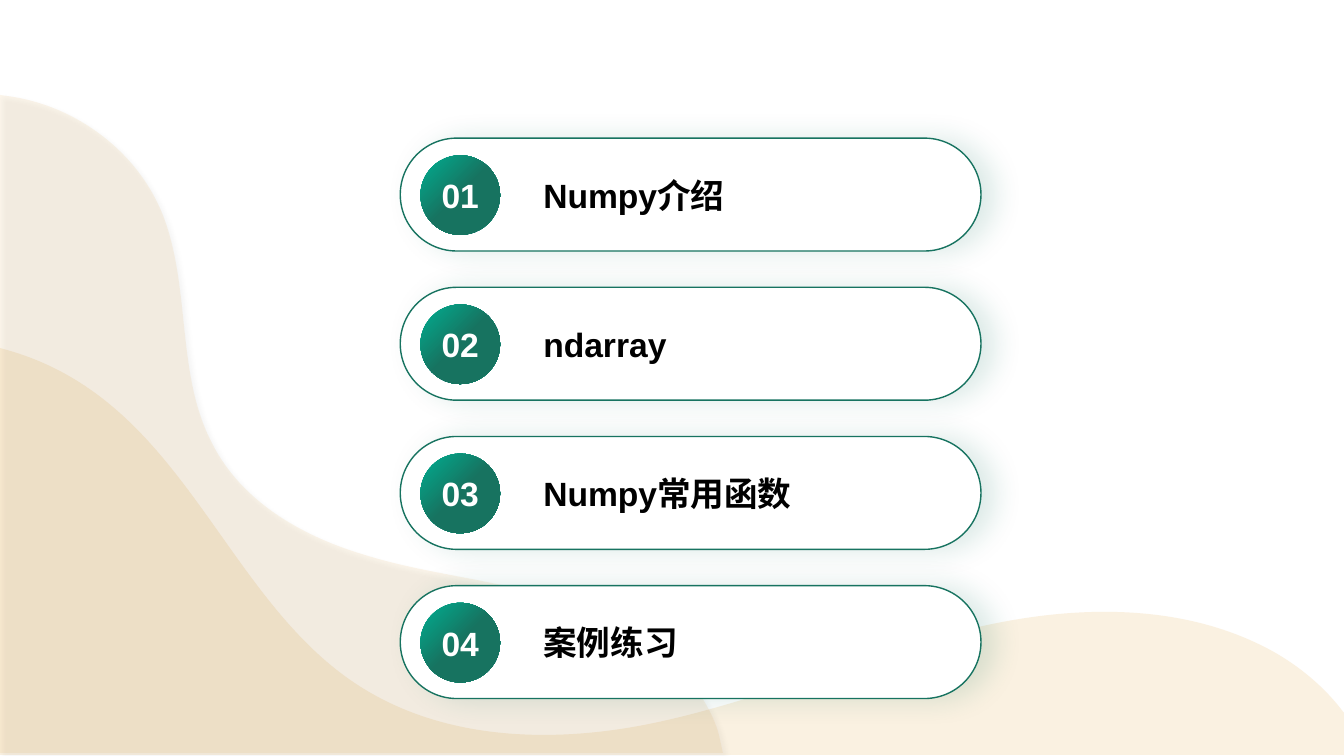
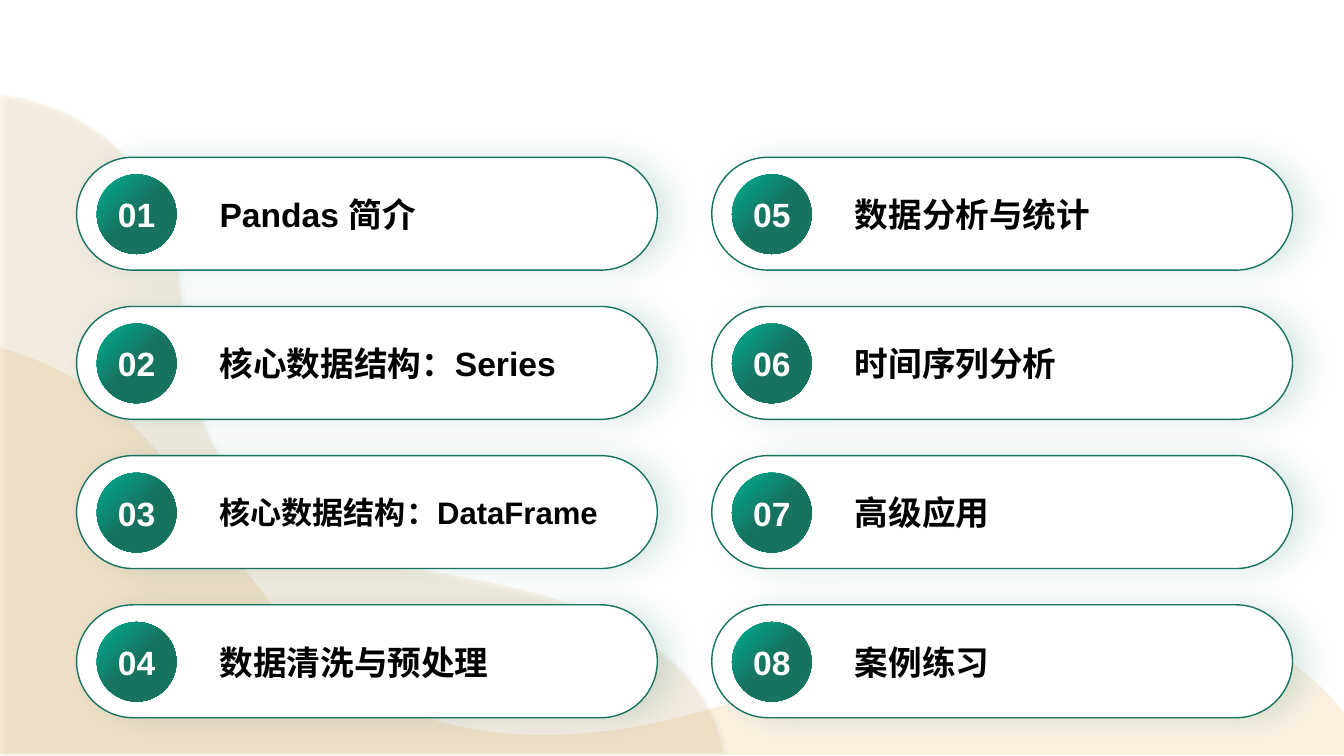
from dataclasses import dataclass
from typing import Any, NamedTuple

from lxml.etree import SubElement
from pptx import Presentation
from pptx.dml.color import RGBColor as RGB
from pptx.enum.shapes import MSO_SHAPE as SHAPE
from pptx.enum.text import MSO_ANCHOR as ANCHOR, PP_ALIGN as ALIGN
from pptx.oxml.ns import qn
from pptx.util import Inches, Pt


class Shadow(NamedTuple):
    color: RGB
    alpha: int
    blur: float
    distance: float
    angle: int


@dataclass(frozen=True)
class Theme:
    white: RGB = RGB.from_string("FFFFFF")
    black: RGB = RGB.from_string("000000")
    green: RGB = RGB.from_string("177360")
    mint: RGB = RGB.from_string("00AF92")
    sand: RGB = RGB.from_string("E3A237")
    font: str = "Arial"
    size: float = 24
    small: float = 22.2


T = Theme()
CARD_SHADOW = Shadow(T.green, 15, 20, 10, 0)
WAVE_SHADOW = Shadow(T.black, 43, 4, 4, 40)


class Wave(NamedTuple):
    corners: tuple
    curves: tuple
    alpha: int
    shadow: Shadow | None = None


class Card(NamedTuple):
    title: str
    size: float = T.size


class Agenda(NamedTuple):
    columns: tuple
    top: float
    cards: tuple


CARD_W, CARD_H, CARD_PITCH, ROWS = 5.76, 1.12, 1.48, 4
BADGE = 0.79

WAVES = (
    Wave(
        ((-0.01, 3.45), (-0.01, 7.49), (13.33, 7.49), (13.33, 7.07), (13.32, 7.06)),
        (
            ((13.14, 6.82), (12.89, 6.61), (12.62, 6.46)),
            ((11.71, 5.96), (10.59, 6), (9.58, 6.25)),
            ((8.57, 6.5), (7.61, 6.92), (6.59, 7.15)),
            ((5.58, 7.38), (4.45, 7.37), (3.57, 6.81)),
            ((2.5, 6.13), (2.04, 4.77), (1.05, 3.98)),
            ((0.75, 3.74), (0.42, 3.57), (0.06, 3.47)),
        ),
        15,
    ),
    Wave(
        ((-0.01, 0.94), (-0.01, 7.47), (7.17, 7.47), (7.13, 7.29)),
        (
            ((7.1, 7.17), (7.04, 7.05), (6.98, 6.95)),
            ((6.65, 6.4), (6.04, 6.09), (5.44, 5.92)),
            ((4.83, 5.74), (4.2, 5.69), (3.6, 5.5)),
            ((3, 5.32), (2.4, 4.98), (2.11, 4.41)),
            ((1.74, 3.72), (1.9, 2.85), (1.61, 2.12)),
            ((1.35, 1.48), (0.72, 1.03), (0.05, 0.95)),
        ),
        10,
        WAVE_SHADOW,
    ),
)

AGENDAS = (
    Agenda(
        (3.97,),
        1.37,
        (Card("Numpy介绍"), Card("ndarray"), Card("Numpy常用函数"), Card("案例练习")),
    ),
    Agenda(
        (0.76, 7.06),
        1.56,
        (
            Card("Pandas 简介"),
            Card("核心数据结构：Series"),
            Card("核心数据结构：DataFrame", T.small),
            Card("数据清洗与预处理"),
            Card("数据分析与统计"),
            Card("时间序列分析"),
            Card("高级应用"),
            Card("案例练习"),
        ),
    ),
)


def apply_format(target: Any, values: dict) -> None:
    for name, value in values.items():
        setattr(target, name, value)


def add_alpha(color: Any, percent: int) -> None:
    SubElement(color, qn("a:alpha"), val=str(percent * 1000))


def add_shadow(sp: Any, shadow: Shadow) -> None:
    effects = sp.element.spPr.find(qn("a:effectLst"))
    outer = SubElement(
        effects,
        qn("a:outerShdw"),
        blurRad=str(Pt(shadow.blur)),
        dist=str(Pt(shadow.distance)),
        dir=str(shadow.angle * 60000),
        algn="l",
        rotWithShape="0",
    )
    color = SubElement(outer, qn("a:srgbClr"), val=str(shadow.color))
    add_alpha(color, shadow.alpha)


def to_emu(points: Any) -> list:
    return [(Inches(x), Inches(y)) for x, y in points]


def bend_segments(sp: Any, curves: tuple) -> None:
    left, top = sp.left, sp.top
    segments = list(sp.element.iter(qn("a:lnTo")))[-len(curves):]
    for segment, curve in zip(segments, curves):
        bezier = SubElement(segment.getparent(), qn("a:cubicBezTo"))
        for x, y in to_emu(curve):
            SubElement(bezier, qn("a:pt"), x=str(x - left), y=str(y - top))
        segment.getparent().replace(segment, bezier)


def draw_wave(shapes: Any, wave: Wave) -> None:
    first, *rest = to_emu(wave.corners + tuple(curve[-1] for curve in wave.curves))
    builder = shapes.build_freeform(*first)
    builder.add_line_segments(rest, close=True)
    sp = builder.convert_to_shape()
    bend_segments(sp, wave.curves)
    sp.fill.solid()
    sp.fill.fore_color.rgb = T.sand
    add_alpha(sp.element.spPr.find(f"{qn('a:solidFill')}/{qn('a:srgbClr')}"), wave.alpha)
    sp.line.fill.background()
    sp.shadow.inherit = False
    if wave.shadow:
        add_shadow(sp, wave.shadow)


def add_pill(shapes: Any, x: float, y: float, w: float, h: float) -> Any:
    sp = shapes.add_shape(SHAPE.ROUNDED_RECTANGLE, Inches(x), Inches(y), Inches(w), Inches(h))
    sp.adjustments[0] = 0.5
    sp.shadow.inherit = False
    return sp


def write_text(sp: Any, text: str, size: float, color: RGB, align: Any, wrap: bool) -> None:
    tf = sp.text_frame
    apply_format(tf, {"word_wrap": wrap, "vertical_anchor": ANCHOR.MIDDLE})
    p = tf.paragraphs[0]
    p.alignment = align
    r = p.add_run()
    r.text = text
    apply_format(r.font, {"name": T.font, "size": Pt(size), "bold": True})
    r.font.color.rgb = color


def draw_card(s: Any, x: float, y: float, number: int, card: Card) -> None:
    shapes = s.shapes.add_group_shape().shapes

    panel = add_pill(shapes, x, y, CARD_W, CARD_H)
    panel.fill.solid()
    panel.fill.fore_color.rgb = T.white
    panel.line.color.rgb = T.green
    panel.line.width = Pt(1)
    add_shadow(panel, CARD_SHADOW)

    title = shapes.add_textbox(Inches(x + 1.32), Inches(y + 0.2), Inches(4.07), Inches(0.73))
    write_text(title, card.title, card.size, T.black, ALIGN.LEFT, True)

    badge = add_pill(shapes, x + 0.2, y + 0.17, BADGE, BADGE)
    badge.fill.gradient()
    badge.fill.gradient_angle = 315
    for stop, color, position in zip(badge.fill.gradient_stops, (T.mint, T.green), (0, 0.5)):
        stop.color.rgb = color
        stop.position = position
    badge.line.fill.background()
    write_text(badge, f"{number:02d}", T.size, T.white, ALIGN.CENTER, False)


def draw_agenda(s: Any, agenda: Agenda) -> None:
    for index, card in enumerate(agenda.cards):
        column, row = divmod(index, ROWS)
        draw_card(s, agenda.columns[column], agenda.top + row * CARD_PITCH, index + 1, card)


def add_waves_to_layout(s: Any, layout: Any) -> None:
    for placeholder in list(layout.placeholders):
        layout.shapes.element.remove(placeholder.element)
    group = s.shapes.add_group_shape()
    for wave in WAVES:
        draw_wave(group.shapes, wave)
    layout.shapes.element.append(group.element)


def main() -> None:
    prs = Presentation()
    apply_format(prs, {"slide_width": Inches(13.33), "slide_height": Inches(7.5)})
    blank = prs.slide_layouts[6]
    slides = [prs.slides.add_slide(blank) for _ in AGENDAS]
    add_waves_to_layout(slides[0], blank)
    for s, agenda in zip(slides, AGENDAS):
        draw_agenda(s, agenda)
    prs.save("out.pptx")


if __name__ == "__main__":
    main()
